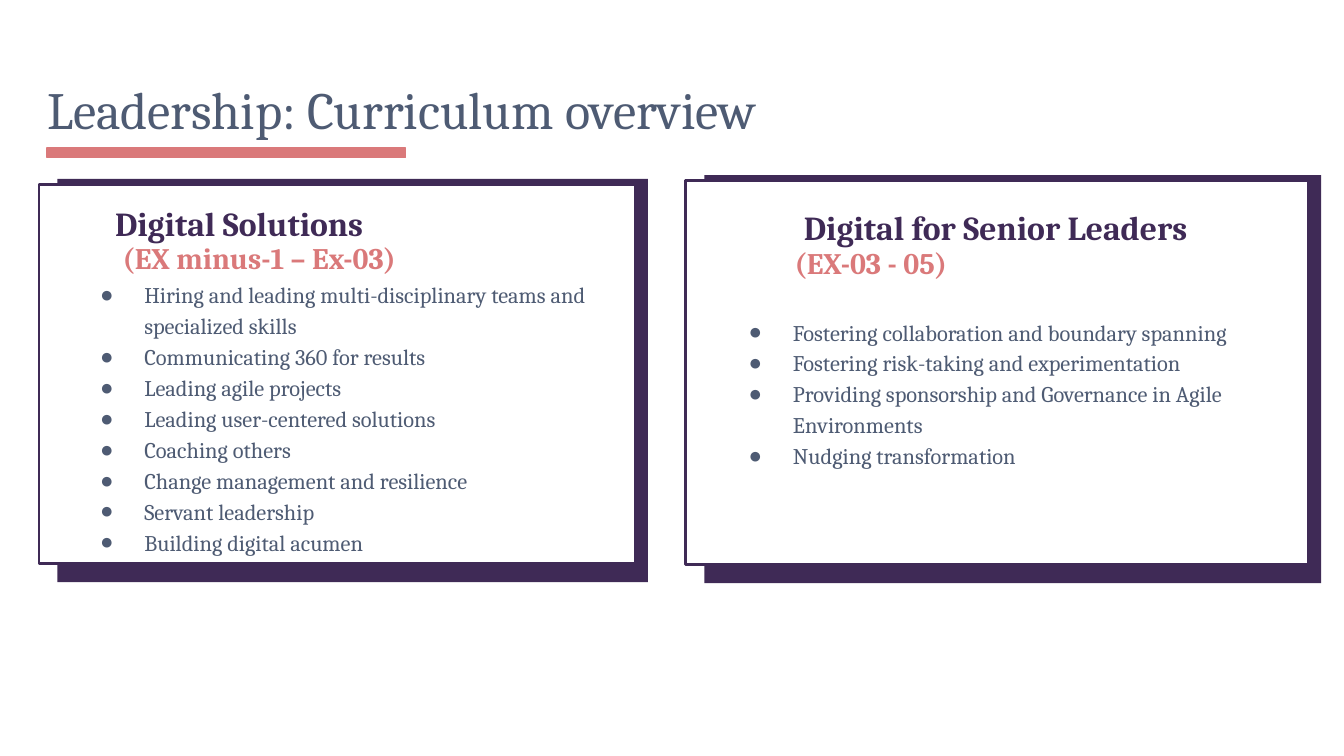
from dataclasses import dataclass

from lxml import etree
from pptx import Presentation
from pptx import util as u
from pptx.dml.color import RGBColor
from pptx.enum import shapes, text
from pptx.oxml import ns


@dataclass(frozen=True)
class Theme:
    font: str = "Cambria"
    slate: str = "4E5B73"
    plum: str = "3F2A56"
    coral: str = "DA797A"
    white: str = "FFFFFF"
    title_size: int = 28
    heading_size: int = 18
    level_size: int = 16
    list_size: int = 12


THEME = Theme()
PAGE = (0, 0, 10, 10 * 9 / 16)  # widescreen, 16:9

# Card boxes are percentages of the page; inner boxes are percentages of the card
CARDS = [
    {
        "box": (51, 23.15, 47.3, 54),
        "heading": ("Digital for Senior Leaders", (0.73, 4.61, 96.19, 15.46)),
        "level": ("(EX-03 - 05)", (4.23, 13.82, 49.89, 13.49)),
        "list_box": (4.23, 30.92, 91.54, 73.36),
        "topics": [
            "Fostering collaboration and boundary spanning",
            "Fostering risk-taking and experimentation",
            "Providing sponsorship and Governance in Agile Environments",
            "Nudging transformation",
        ],
    },
    {
        "box": (2.9, 23.67, 45.3, 53.33),
        "heading": ("Digital Solutions", (-6.4, 2.67, 78.59, 15.33)),
        "level": ("(EX minus-1 – Ex-03)", (-2.65, 11.67, 77.7, 13.33)),
        "list_box": (4.06, 21.1, 91.61, 73.33),
        "topics": [
            "Hiring and leading multi-disciplinary teams and specialized skills",
            "Communicating 360 for results",
            "Leading agile projects",
            "Leading user-centered solutions",
            "Coaching others",
            "Change management and resilience",
            "Servant leadership",
            "Building digital acumen",
        ],
    },
]


def color(code):
    return RGBColor.from_string(code)


def within(box, share):
    """Turn percentages of a box into a box in inches."""
    left, top, width, height = box
    x, y, w, h = (value / 100 for value in share)
    return left + x * width, top + y * height, w * width, h * height


def apply(target, values):
    for name, value in values.items():
        setattr(target, name, value)


def place(shape, box):
    names = ("left", "top", "width", "height")
    apply(shape, dict(zip(names, map(u.Inches, box))))


def set_frame(frame, inset, anchor):
    apply(frame, {"word_wrap": True, "auto_size": text.MSO_AUTO_SIZE.NONE,
                  "vertical_anchor": anchor})
    sides = ("left", "top", "right", "bottom")
    apply(frame, {f"margin_{side}": u.Inches(inset) for side in sides})


def write(para, words, size, code, bold=False, **layout):
    apply(para, {"space_before": u.Pt(0), **layout})
    span = para.add_run()
    span.text = words
    apply(span.font, {"name": THEME.font, "size": u.Pt(size), "bold": bold})
    span.font.color.rgb = color(code)


def add_bullet(para):
    props = para._p.get_or_add_pPr()
    props.set("marL", str(u.Inches(0.5)))
    props.set("indent", str(u.Inches(-0.33)))
    tint = etree.SubElement(props, ns.qn("a:buClr"))
    etree.SubElement(tint, ns.qn("a:srgbClr"), val=THEME.slate)
    etree.SubElement(props, ns.qn("a:buChar"), char="●")


def add_block(page, box, fill, line=None, weight=0):
    block = page.shapes.add_shape(shapes.MSO_SHAPE.RECTANGLE, *map(u.Inches, box))
    block.shadow.inherit = False
    block.fill.solid()
    block.fill.fore_color.rgb = color(fill)
    if line:
        block.line.color.rgb = color(line)
        block.line.width = u.Pt(weight)
    else:
        block.line.fill.background()


def add_label(page, box, words, size, code):
    label = page.shapes.add_textbox(*map(u.Inches, box))
    set_frame(label.text_frame, 0.1, text.MSO_ANCHOR.TOP)
    write(label.text_frame.paragraphs[0], words, size, code, bold=True,
          alignment=text.PP_ALIGN.CENTER)


def add_header(page, box):
    # Title and its accent bar
    title = page.shapes.title
    place(title, within(box, (3.5, 2.85, 93, 15.82)))
    set_frame(title.text_frame, 0, text.MSO_ANCHOR.BOTTOM)
    write(title.text_frame.paragraphs[0], "Leadership: Curriculum overview",
          THEME.title_size, THEME.slate,
          alignment=text.PP_ALIGN.LEFT, line_spacing=0.9)
    add_block(page, within(box, (3.5, 19.57, 26.7, 1.25)),
              THEME.coral, THEME.coral, 0.75)


def add_card(page, box, body, card):
    # Offset backing and outlined panel
    add_block(page, within(box, (3, 0, 97, 100)), THEME.plum)
    add_block(page, within(box, (0, 1.4, 98, 94)), THEME.white, THEME.plum, 1.5)

    # Topic list, raised above the panel
    page.shapes.element.append(body.element)
    place(body, within(box, card["list_box"]))
    frame = body.text_frame
    set_frame(frame, 0.1, text.MSO_ANCHOR.TOP)
    for index, topic in enumerate(card["topics"]):
        para = frame.add_paragraph() if index else frame.paragraphs[0]
        add_bullet(para)
        write(para, topic, THEME.list_size, THEME.slate, line_spacing=1.15)

    # Heading and audience level
    for part, size, code in (("heading", THEME.heading_size, THEME.plum),
                             ("level", THEME.level_size, THEME.coral)):
        words, share = card[part]
        add_label(page, within(box, share), words, size, code)


def main():
    deck = Presentation()
    deck.slide_width, deck.slide_height = map(u.Inches, PAGE[2:])
    page = deck.slides.add_slide(deck.slide_layouts.get_by_name("Two Content"))
    bodies = [page.placeholders[2], page.placeholders[1]]
    for body, card in zip(bodies, CARDS):
        add_card(page, within(PAGE, card["box"]), body, card)
    add_header(page, PAGE)
    deck.save("out.pptx")


if __name__ == "__main__":
    main()
